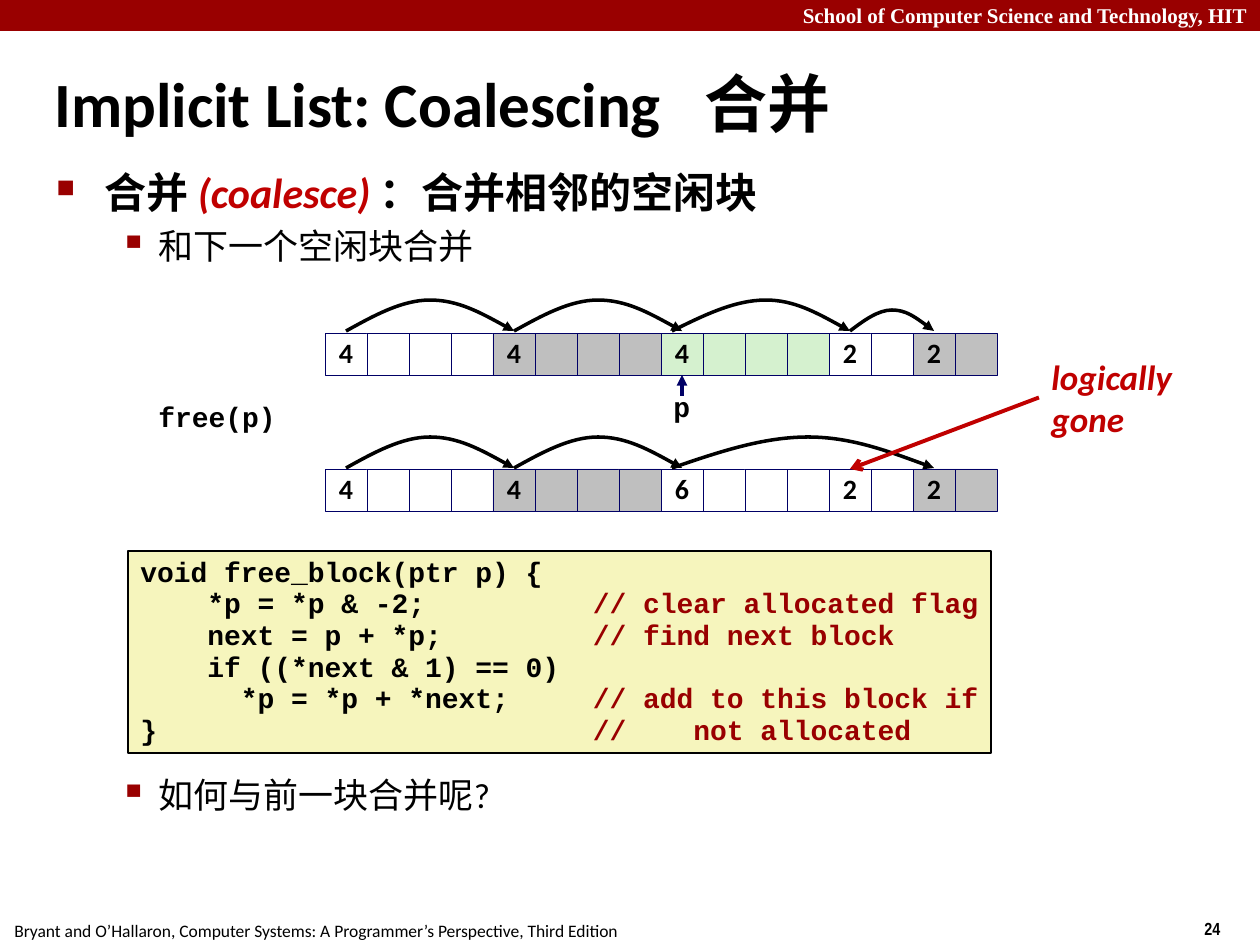
from lxml import etree
from pptx import Presentation
from pptx import util as u
from pptx.dml.color import RGBColor
from pptx.enum import shapes, text
from pptx.oxml.ns import qn

PX = 914400 / 126
COLORS = {
    "black": "000000", "white": "FFFFFF", "crimson": "990000", "red": "C00000",
    "navy": "000066", "gray": "BFBFBF", "silver": "C0C0C0", "green": "D5F1CF",
    "cream": "F6F5BD",
}
CELL = 42
ROW_LEFT = 325
CODE_COLUMN = 27
CODE = [
    ("void free_block(ptr p) {", ""),
    ("    *p = *p & -2;", "// clear allocated flag"),
    ("    next = p + *p;", "// find next block"),
    ("    if ((*next & 1) == 0)", ""),
    ("      *p = *p + *next;", "// add to this block if"),
    ("}", "//    not allocated"),
]
# Blocks are (size label, number of cells, fill)
BEFORE = [("4", 4, "white"), ("4", 4, "gray"), ("4", 4, "green"),
          ("2", 2, "white"), ("2", 2, "silver")]
AFTER = [("4", 4, "white"), ("4", 4, "gray"), ("6", 4, "white"),
         ("2", 2, "white"), ("2", 2, "silver")]


def px(n):
    return u.Emu(round(n * PX))


def rgb(name):
    return RGBColor.from_string(COLORS[name])


def add_run(p, words, size, color="black", font="Calibri", bold=True, italic=False):
    r = p.add_run()
    r.text = words
    f = r.font
    f.size, f.name, f.bold, f.italic = u.Pt(size), font, bold, italic
    f.color.rgb = rgb(color)


def add_box(s, x, y, w, h, fill, line=None, line_width=0.25):
    sp = s.shapes.add_shape(shapes.MSO_SHAPE.RECTANGLE, px(x), px(y), px(w), px(h))
    sp.shadow.inherit = False
    sp.fill.solid()
    sp.fill.fore_color.rgb = rgb(fill)
    if line:
        sp.line.color.rgb = rgb(line)
        sp.line.width = u.Pt(line_width)
    else:
        sp.line.fill.background()
    return sp


def add_label(s, x, y, w, h, lines, size, spacing=None, wrap=False, **style):
    sp = s.shapes.add_textbox(px(x), px(y), px(w), px(h))
    tf = sp.text_frame
    tf.word_wrap = wrap
    for i, words in enumerate(lines):
        p = tf.paragraphs[0] if i == 0 else tf.add_paragraph()
        p.line_spacing = spacing
        add_run(p, words, size, **style)
    return sp


def add_arrowhead(sp, kind):
    etree.SubElement(sp.line._get_or_add_ln(), qn("a:tailEnd"), type=kind)


def add_arrow(s, start, end, color, width, kind):
    cx = s.shapes.add_connector(shapes.MSO_CONNECTOR.STRAIGHT,
                                *(px(n) for n in start + end))
    cx.line.color.rgb = rgb(color)
    cx.line.width = u.Pt(width)
    add_arrowhead(cx, kind)
    etree.SubElement(cx._element.spPr, qn("a:effectLst"))
    return cx


def add_arc(s, x0, peak, x1, base, rise):
    """Draw a Bezier hop from x0 over peak to x1, with an arrowhead at x1."""
    xs = [x0 + (peak - x0) * i / 3 for i in range(4)]
    xs += [peak + (x1 - peak) * i / 3 for i in range(1, 4)]
    ys = [base - rise * k for k in (0, 0.5, 1, 1, 1, 0.5, 0)]
    points = [(px(x), px(y)) for x, y in zip(xs, ys)]
    builder = s.shapes.build_freeform(*points[0], scale=1.0)
    builder.add_line_segments(points[1:], close=False)
    sp = builder.convert_to_shape()
    segments = list(sp._element.iter(qn("a:lnTo")))
    path = segments[0].getparent()
    for i in (0, 3):
        curve = etree.SubElement(path, qn("a:cubicBezTo"))
        for segment in segments[i:i + 3]:
            curve.append(segment[0])
            path.remove(segment)
    sp.shadow.inherit = False
    sp.fill.background()
    sp.line.color.rgb = rgb("black")
    sp.line.width = u.Pt(2)
    add_arrowhead(sp, "triangle")


def add_heap_row(s, top, blocks):
    """Draw the blocks cell by cell and return the cells."""
    cells = []
    for label, count, fill in blocks:
        for i in range(count):
            sp = add_box(s, ROW_LEFT + CELL * len(cells), top, CELL, CELL, fill, "navy")
            cells.append(sp)
            if i == 0:
                tf = sp.text_frame
                tf.word_wrap = False
                tf.vertical_anchor = text.MSO_ANCHOR.MIDDLE
                p = tf.paragraphs[0]
                p.alignment = text.PP_ALIGN.CENTER
                p.line_spacing = 0.98
                add_run(p, label, 16)
    return cells


def add_hops(s, base, hops):
    """Hops are (first cell, last cell, start shift, rise)."""
    middle = ROW_LEFT + CELL / 2
    for first, last, shift, rise in hops:
        x0, x1 = middle + CELL * first, middle + CELL * last
        add_arc(s, x0 + shift, (x0 + x1) / 2, x1, base, rise)


def set_bullet(p, char, size, left, hang):
    pPr = p._p.get_or_add_pPr()
    pPr.set("marL", str(px(left)))
    pPr.set("indent", str(-px(hang)))
    color = etree.SubElement(pPr, qn("a:buClr"))
    etree.SubElement(color, qn("a:srgbClr"), val=COLORS["crimson"])
    etree.SubElement(pPr, qn("a:buSzPct"), val=str(size * 1000))
    etree.SubElement(pPr, qn("a:buChar"), char=char)


def format_sub_bullet(p):
    p.line_spacing = 0.88
    p.space_before = u.Pt(7.5)
    set_bullet(p, "▪", 110, 102, 39)


def add_bullets(s):
    tf = s.shapes.add_textbox(px(44), px(169), px(1145), px(110)).text_frame
    tf.word_wrap = True
    p = tf.paragraphs[0]
    p.line_spacing = 0.83
    set_bullet(p, "■", 60, 48, 48)
    add_run(p, "合并 ", 24)
    add_run(p, "(coalesce) ", 24, "red", italic=True)
    add_run(p, "：合并相邻的空闲块", 24)
    p = tf.add_paragraph()
    format_sub_bullet(p)
    add_run(p, "和下一个空闲块合并", 20, bold=False)
    question = add_label(s, 44, 773, 1145, 56, ["如何与前一块合并呢?"], 20,
                         wrap=True, bold=False)
    format_sub_bullet(question.text_frame.paragraphs[0])


def add_code(s):
    sp = add_box(s, 128, 551, 863, 202, "cream", "black", 1)
    tf = sp.text_frame
    tf.word_wrap = False
    tf.vertical_anchor = text.MSO_ANCHOR.TOP
    p = tf.paragraphs[0]
    p.alignment = text.PP_ALIGN.LEFT
    p.line_spacing = 0.94
    for i, (code, comment) in enumerate(CODE):
        if i:
            p.add_line_break()
        add_run(p, code.ljust(CODE_COLUMN) if comment else code, 16, font="Courier New")
        if comment:
            add_run(p, comment, 16, "crimson", "Courier New")


def add_frame(s):
    """Add the header bar, footer, page number and title."""
    bar = add_box(s, 0, 0, 1260, 31, "crimson")
    p = bar.text_frame.paragraphs[0]
    p.alignment = text.PP_ALIGN.RIGHT
    add_run(p, "School of Computer Science and Technology, HIT", 12, "white",
            "Times New Roman")
    add_label(s, 2, 914, 631, 31, ["Bryant and O’Hallaron, Computer Systems: "
              "A Programmer’s Perspective, Third Edition"], 10, bold=False)
    add_label(s, 1192, 912, 60, 33, ["24"], 10, font="Arial Narrow")
    title = s.shapes.title
    title.left, title.top, title.width, title.height = px(42), px(63), px(932), px(79)
    tf = title.text_frame
    tf.vertical_anchor = text.MSO_ANCHOR.MIDDLE
    p = tf.paragraphs[0]
    p.alignment = text.PP_ALIGN.LEFT
    add_run(p, "Implicit List: Coalescing   合并", 36)


def main():
    prs = Presentation()
    prs.slide_width, prs.slide_height = px(1260), px(945)
    s = prs.slides.add_slide(prs.slide_layouts[5])
    add_frame(s)
    add_bullets(s)
    add_code(s)

    before = add_heap_row(s, 333, BEFORE)
    add_hops(s, 331, [(0, 4, 0, 31), (4, 8, 0, 31), (8, 12, -10, 31), (12, 14, 0, 21)])
    after = add_heap_row(s, 469, AFTER)
    add_hops(s, 468, [(0, 4, 0, 31), (4, 8, 0, 31), (8, 14, -10, 31)])

    add_label(s, 146, 396, 160, 44, ["free(p)"], 16, 0.94, font="Courier New")
    add_label(s, 661, 386, 44, 44, ["p"], 16, 0.94, font="Courier New")
    pointer = add_arrow(s, (682, 396), (682, 375), "navy", 2, "triangle")
    pointer.end_connect(before[8], 2)
    gone = add_label(s, 1039, 349, 150, 97, ["logically", "gone"], 20,
                     color="red", italic=True)
    link = add_arrow(s, (1039, 398), (850, 469), "red", 2.25, "arrow")
    link.begin_connect(gone, 1)
    link.end_connect(after[12], 0)
    prs.save("out.pptx")


if __name__ == "__main__":
    main()
